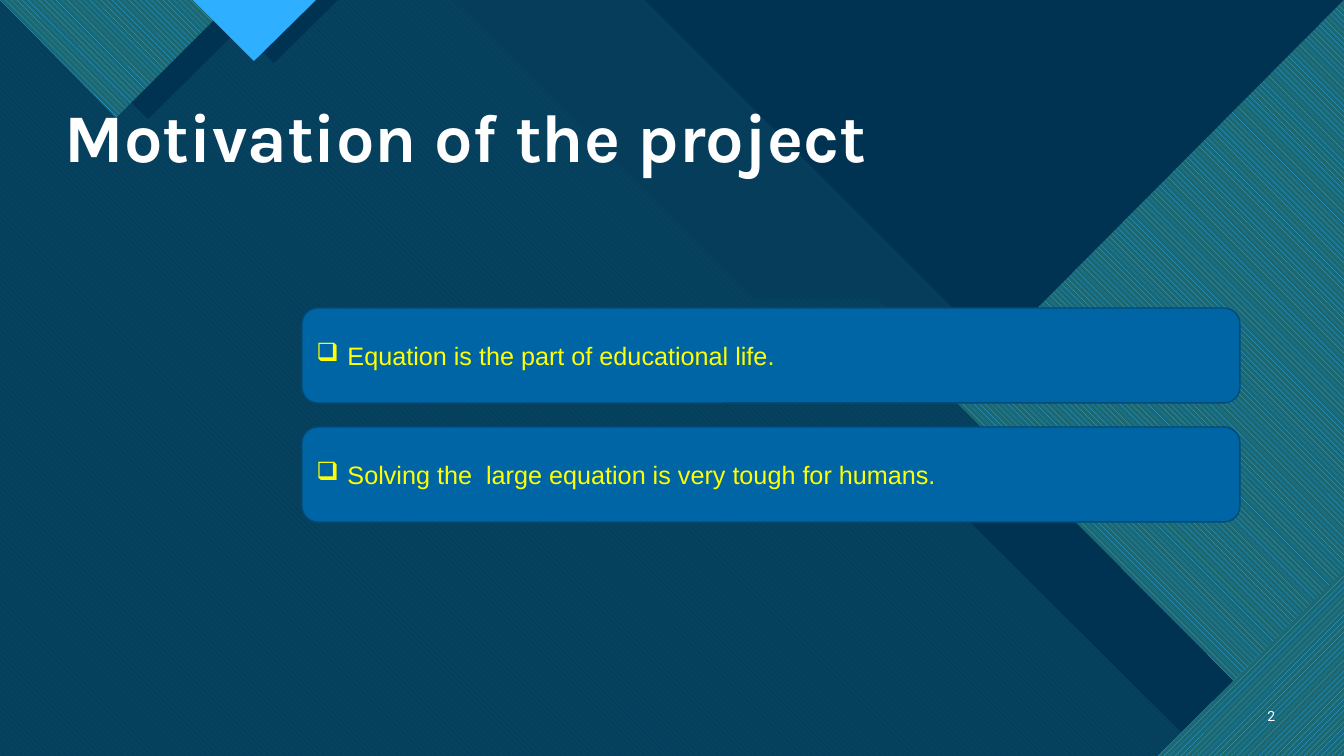
import pptx
import pptx.util
import pptx.dml.color
import pptx.enum.dml
import pptx.enum.shapes
import pptx.enum.text
import pptx.oxml.ns
import lxml.etree

EMU_PER_PX = 914400 / 100.8
WIDTH, HEIGHT = 1344, 756

COLORS = {
    "base": "0C4360",
    "navy": "003352",
    "aqua": "47C3D3",
    "teal": "1B6872",
    "sky": "2FAFFF",
    "card": "0065A4",
    "border": "004B79",
    "white": "FFFFFF",
    "yellow": "FFFF00",
}
DOWN = pptx.enum.dml.MSO_PATTERN.WIDE_DOWNWARD_DIAGONAL
UP = pptx.enum.dml.MSO_PATTERN.WIDE_UPWARD_DIAGONAL
ANCHOR = pptx.enum.text.MSO_ANCHOR
ALIGN = pptx.enum.text.PP_ALIGN


def px(value):
    return pptx.util.Emu(round(value * EMU_PER_PX))


def color(name):
    return pptx.dml.color.RGBColor.from_string(COLORS[name])


def add_xml(parent, tag, **attributes):
    element = lxml.etree.SubElement(parent, pptx.oxml.ns.qn(tag))
    for name, value in attributes.items():
        element.set(name, str(value))
    return element


def write_text(shape, text, size, font, ink, bold=False, align=ALIGN.LEFT,
               anchor=ANCHOR.MIDDLE, line_spacing=None, bullet=None, indent=0):
    frame = shape.text_frame
    frame.word_wrap = True
    frame.vertical_anchor = anchor
    paragraph = frame.paragraphs[0]
    paragraph.alignment = align
    if line_spacing:
        paragraph.line_spacing = line_spacing
    if bullet:
        properties = paragraph._p.get_or_add_pPr()
        properties.set("marL", str(px(indent)))
        properties.set("indent", str(-px(indent)))
        add_xml(properties, "a:buChar", char=bullet)
    run = paragraph.add_run()
    run.text = text
    run.font.size = pptx.util.Pt(size)
    run.font.name = font
    run.font.bold = bold
    run.font.color.rgb = color(ink)


class SlideBuilder:
    def __init__(self, presentation):
        self.slide = presentation.slides.add_slide(presentation.slide_layouts[6])
        self.shapes = self.slide.shapes

    def background(self, fill):
        self.slide.background.fill.solid()
        self.slide.background.fill.fore_color.rgb = color(fill)

    def polygon(self, points, fill, opacity=100, pattern=None, ground=None):
        builder = self.shapes.build_freeform(*points[0], scale=EMU_PER_PX)
        builder.add_line_segments(points[1:], close=True)
        shape = builder.convert_to_shape()
        shape.shadow.inherit = False
        shape.line.fill.background()
        if pattern is None:
            shape.fill.solid()
        else:
            shape.fill.patterned()
            shape.fill.pattern = pattern
            shape.fill.back_color.rgb = color(ground)
        shape.fill.fore_color.rgb = color(fill)
        if opacity < 100:
            tone = shape._element.spPr.find(".//" + pptx.oxml.ns.qn("a:srgbClr"))
            add_xml(tone, "a:alpha", val=opacity * 1000)

    def card(self, left, top, width, height, text):
        shape = self.shapes.add_shape(
            pptx.enum.shapes.MSO_SHAPE.ROUNDED_RECTANGLE,
            px(left), px(top), px(width), px(height))
        shape.shadow.inherit = False
        shape.fill.solid()
        shape.fill.fore_color.rgb = color("card")
        shape.line.color.rgb = color("border")
        shape.line.width = pptx.util.Pt(1)
        write_text(shape, text, 18, "Arial", "yellow", bullet="❑", indent=31)

    def label(self, left, top, width, height, text, **style):
        box = self.shapes.add_textbox(px(left), px(top), px(width), px(height))
        write_text(box, text, **style)


def draw_backdrop(builder):
    builder.background("base")
    floor = [(WIDTH, HEIGHT), (0, HEIGHT)]
    builder.polygon([(0, 0), (833, 0), (1132, 299), (1245, 299), (WIDTH, 399)] + floor,
                    "aqua", opacity=74)
    builder.polygon([(0, 0), (453, 0), (752, 299), (879, 299), (1336, HEIGHT), (0, HEIGHT)],
                    "card", pattern=DOWN, ground="aqua")
    builder.polygon([(645, 0), (WIDTH, 0), (WIDTH, 699)], "navy")
    builder.polygon([(0, 0), (701, 0), (1000, 299), (1127, 299), (WIDTH, 517)] + floor,
                    "navy", opacity=90)

    builder.polygon([(WIDTH, 69), (WIDTH, HEIGHT), (1205, HEIGHT), (930, 482)], "navy")
    builder.polygon([(WIDTH, 0), (WIDTH, HEIGHT), (1309, HEIGHT), (950, 396)],
                    "sky", pattern=DOWN, ground="teal")
    builder.polygon([(WIDTH, 619), (WIDTH, HEIGHT), (1207, HEIGHT)], "navy")
    builder.polygon([(WIDTH, 571), (WIDTH, HEIGHT), (1158, HEIGHT)],
                    "sky", pattern=UP, ground="teal")

    builder.polygon([(29, 0), (268, 0), (148, 119)], "navy")
    builder.polygon([(0, 0), (234, 0), (116, 118)], "sky", pattern=DOWN, ground="teal")
    builder.polygon([(211, 0), (338, 0), (274, 63)], "navy")
    builder.polygon([(193, 0), (316, 0), (254, 61)], "sky")


def main():
    presentation = pptx.Presentation()
    presentation.slide_width = px(WIDTH)
    presentation.slide_height = px(HEIGHT)
    builder = SlideBuilder(presentation)
    draw_backdrop(builder)
    builder.label(55, 87, 858, 95, "Motivation of the project", size=48.6, font="Karla",
                  ink="white", bold=True, anchor=ANCHOR.BOTTOM, line_spacing=0.9)
    builder.label(1241, 696, 44, 40, "2", size=10, font="Roboto", ink="white",
                  align=ALIGN.RIGHT)
    reasons = [
        "Equation is the part of educational life.",
        "Solving the  large equation is very tough for humans.",
    ]
    for index, reason in enumerate(reasons):
        builder.card(302, 308 + 119 * index, 938, 95, reason)
    presentation.save("out.pptx")


if __name__ == "__main__":
    main()
